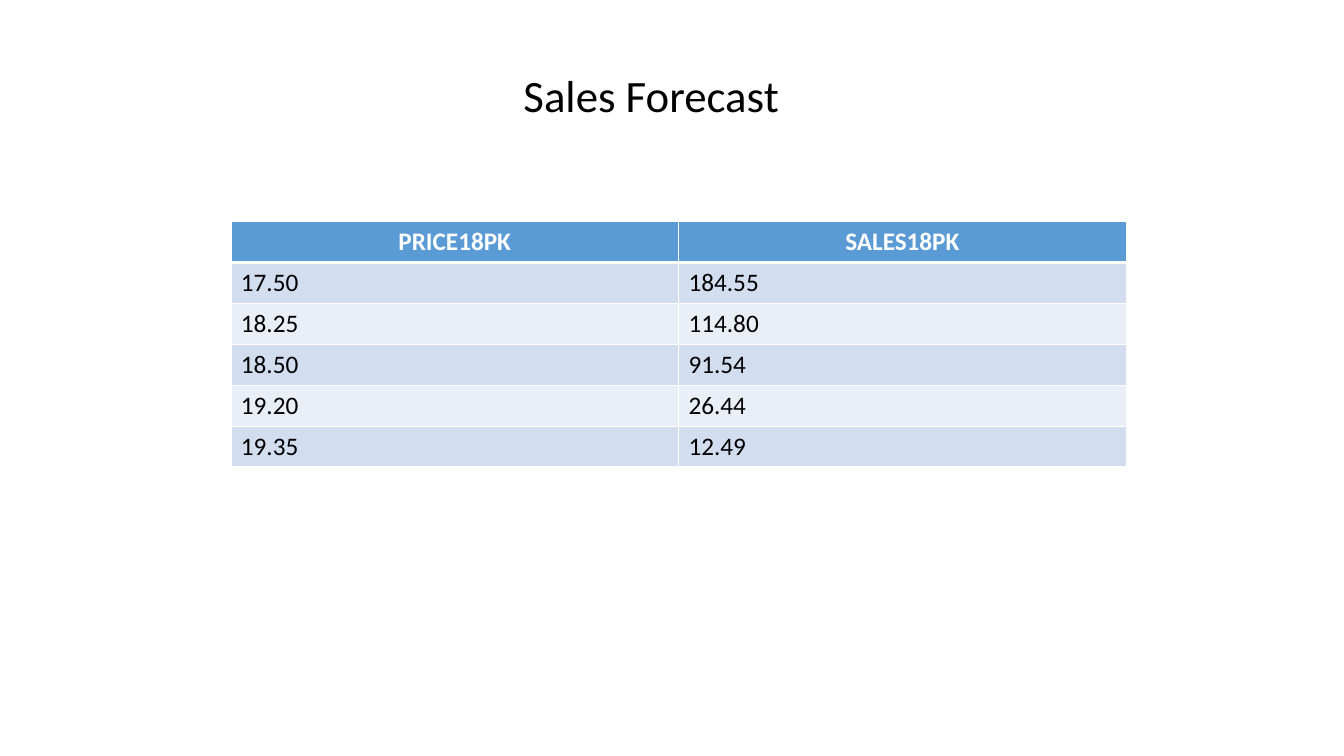
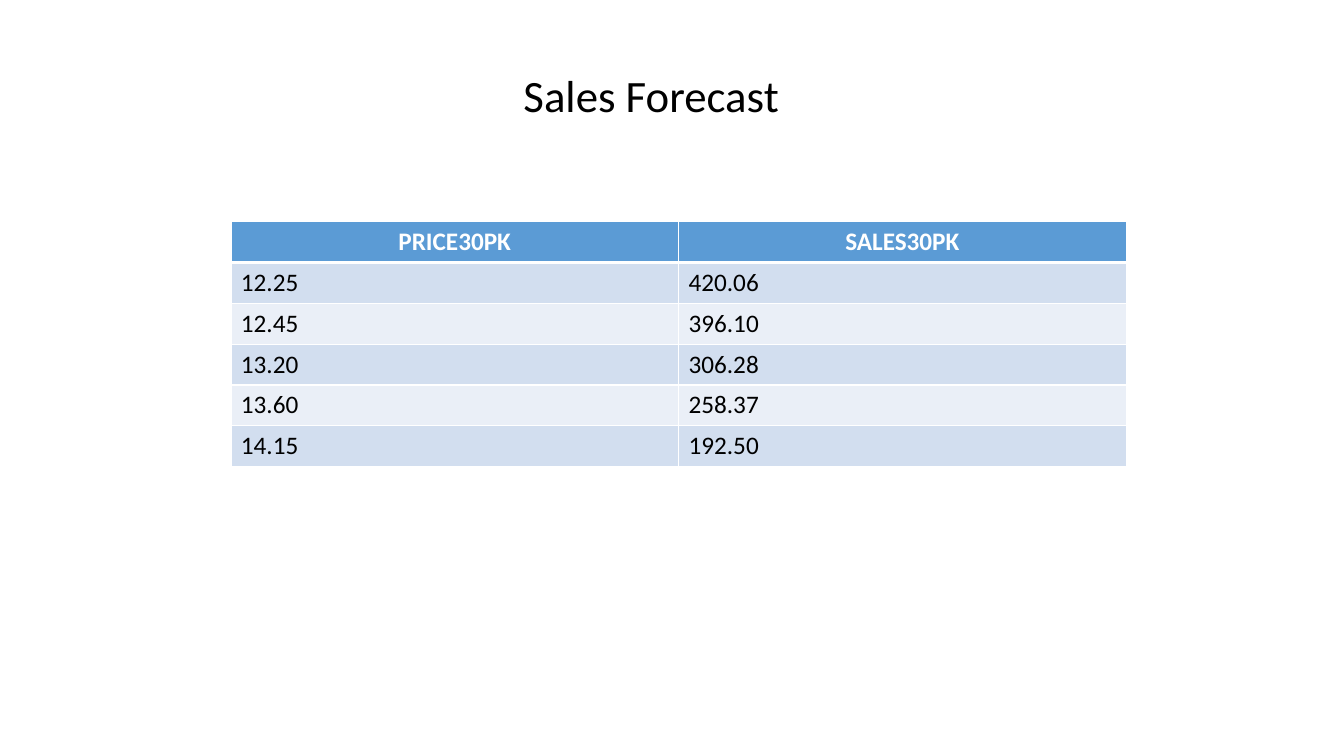
from lxml.etree import SubElement
from pptx import Presentation
from pptx.dml.color import RGBColor
from pptx.enum.text import MSO_AUTO_SIZE, PP_ALIGN
from pptx.oxml.ns import qn
from pptx.util import Inches, Pt

FONT = "Calibri"
BLACK = "000000"
WHITE = "FFFFFF"
HEADER_BLUE = "5B9BD5"
BANDS = ["D2DEEF", "EAEFF7"]
COLUMN_WIDTH = 4.44
ROW_HEIGHT = 0.405

FORECASTS = [
    [
        ("PRICE18PK", "SALES18PK"),
        ("17.50", "184.55"),
        ("18.25", "114.80"),
        ("18.50", "91.54"),
        ("19.20", "26.44"),
        ("19.35", "12.49"),
    ],
    [
        ("PRICE30PK", "SALES30PK"),
        ("12.25", "420.06"),
        ("12.45", "396.10"),
        ("13.20", "306.28"),
        ("13.60", "258.37"),
        ("14.15", "192.50"),
    ],
]


def add_span(para, text, size, color, bold=False):
    span = para.add_run()
    span.text = text
    span.font.name = FONT
    span.font.size = Pt(size)
    span.font.bold = bold
    span.font.color.rgb = RGBColor.from_string(color)


def add_borders(cell, widths):
    properties = cell._tc.get_or_add_tcPr()
    for side, width in widths.items():
        line = SubElement(properties, qn(f"a:ln{side}"), w=str(Pt(width)))
        fill = SubElement(line, qn("a:solidFill"))
        SubElement(fill, qn("a:srgbClr"), val=WHITE)


deck = Presentation()
deck.slide_width = Inches(13.33)
deck.slide_height = Inches(7.5)

for forecast in FORECASTS:
    page = deck.slides.add_slide(deck.slide_layouts[6])

    column_count = len(forecast[0])
    table = page.shapes.add_table(
        len(forecast), column_count, Inches(2.29), Inches(2.2),
        Inches(COLUMN_WIDTH * column_count), Inches(ROW_HEIGHT * len(forecast)),
    ).table
    for column in table.columns:
        column.width = Inches(COLUMN_WIDTH)

    for row_index, values in enumerate(forecast):
        table.rows[row_index].height = Inches(ROW_HEIGHT)
        is_header = row_index == 0
        borders = {
            "L": 1,
            "R": 1,
            "T": 3 if row_index == 1 else 1,
            "B": 3 if is_header else 1,
        }
        band = HEADER_BLUE if is_header else BANDS[(row_index - 1) % 2]
        for column_index, value in enumerate(values):
            cell = table.cell(row_index, column_index)
            add_borders(cell, borders)
            cell.fill.solid()
            cell.fill.fore_color.rgb = RGBColor.from_string(band)
            para = cell.text_frame.paragraphs[0]
            para.alignment = PP_ALIGN.CENTER if is_header else PP_ALIGN.LEFT
            add_span(para, value, 18, WHITE if is_header else BLACK, is_header)

    box = page.shapes.add_textbox(Inches(5.08), Inches(0.62), Inches(2.86), Inches(0.64))
    box.text_frame.word_wrap = False
    box.text_frame.auto_size = MSO_AUTO_SIZE.SHAPE_TO_FIT_TEXT
    para = box.text_frame.paragraphs[0]
    para.alignment = PP_ALIGN.CENTER
    add_span(para, "Sales Forecast ", 32, BLACK)

deck.save("out.pptx")
